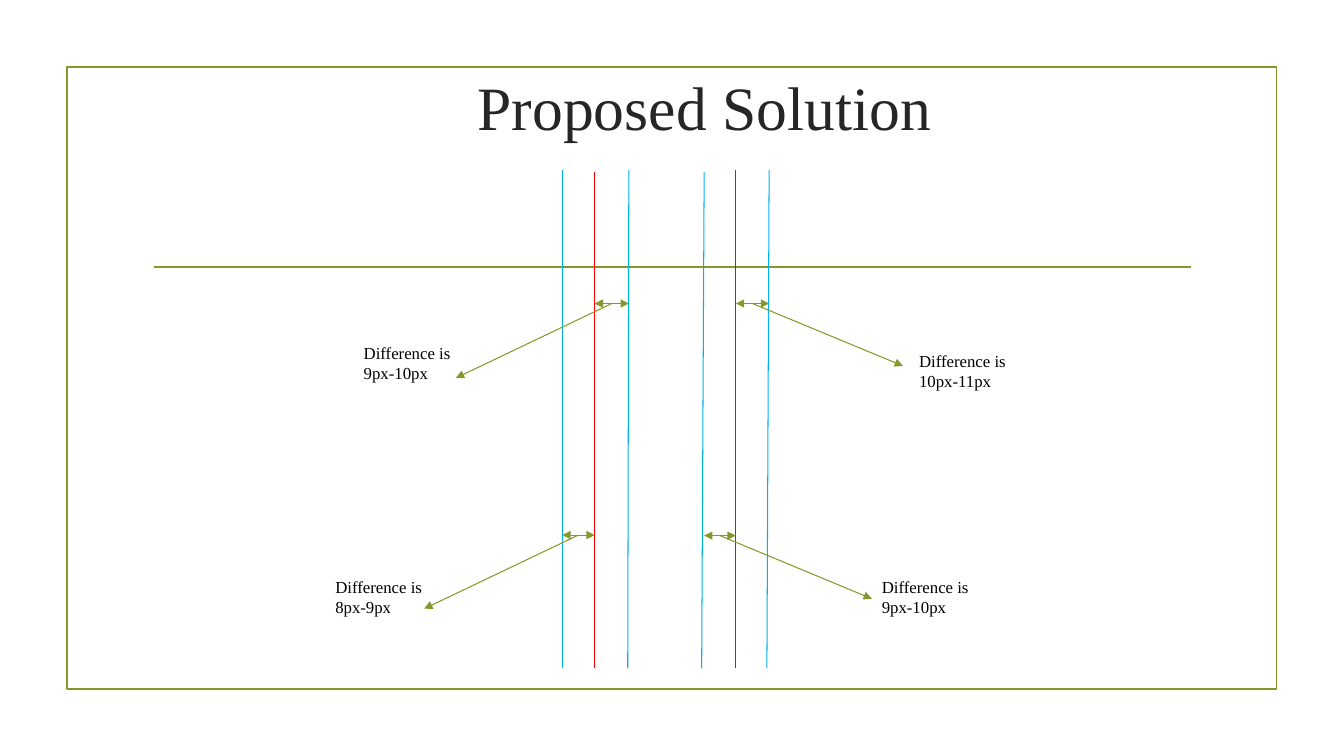
from dataclasses import dataclass

from lxml import etree
from pptx import Presentation
from pptx.dml.color import RGBColor
from pptx.enum import shapes, text
from pptx.oxml import ns
from pptx.util import Pt


@dataclass(frozen=True)
class Theme:
    font: str = "Times New Roman"
    green: str = "83992A"
    blue: str = "00B0F0"
    red: str = "FF0000"
    dark: str = "262626"
    black: str = "000000"
    head: float = 44
    body: float = 12
    thin: float = 0.75
    rule: float = 1.25


class Deck:
    """Draw styled elements on the current slide."""

    def __init__(self, theme):
        self.theme = theme
        self.show = Presentation()
        self.show.slide_width, self.show.slide_height = Pt(960), Pt(540)
        self.slide = self.show.slides.add_slide(self.show.slide_layouts[5])

    def style(self, para, size, color):
        para.font.name = self.theme.font
        para.font.size = Pt(size)
        para.font.color.rgb = RGBColor.from_string(color)

    def title(self, words, *box):
        head = self.slide.shapes.title
        head.left, head.top, head.width, head.height = map(Pt, box)
        frame = head.text_frame
        frame.text = words
        frame.vertical_anchor = text.MSO_ANCHOR.MIDDLE
        para = frame.paragraphs[0]
        para.alignment = text.PP_ALIGN.CENTER
        self.style(para, self.theme.head, self.theme.dark)

    def frame(self, *box):
        rect = self.slide.shapes.add_shape(shapes.MSO_SHAPE.RECTANGLE, *map(Pt, box))
        rect.shadow.inherit = False
        rect.fill.background()
        rect.line.color.rgb = RGBColor.from_string(self.theme.green)
        rect.line.width = Pt(self.theme.rule)

    def line(self, start, end, color, width):
        link = self.slide.shapes.add_connector(
            shapes.MSO_CONNECTOR.STRAIGHT, *map(Pt, (*start, *end)))
        link.line.color.rgb = RGBColor.from_string(color)
        link.line.width = Pt(width)
        etree.SubElement(link._element.spPr, ns.qn("a:effectLst"))
        return link

    def arrow(self, start, end):
        link = self.line(start, end, self.theme.green, self.theme.thin)
        tip = etree.SubElement(link.line._get_or_add_ln(), ns.qn("a:tailEnd"))
        tip.set("type", "triangle")

    def label(self, lines, left, top):
        box = self.slide.shapes.add_textbox(Pt(left), Pt(top), Pt(78), Pt(36))
        frame = box.text_frame
        frame.word_wrap = False
        frame.auto_size = text.MSO_AUTO_SIZE.SHAPE_TO_FIT_TEXT
        frame.text = "\n".join(lines)
        for para in frame.paragraphs:
            self.style(para, self.theme.body, self.theme.black)

    def gap(self, left, right, y, tip, spot, size):
        mid = ((left + right) / 2, y)
        for end in ((left, y), (right, y), tip):
            self.arrow(mid, end)
        self.label(("Difference is", size), *spot)


def main():
    theme = Theme()
    deck = Deck(theme)
    deck.frame(47.8, 48, 864, 444.4)
    deck.line((110.2, 190.8), (850.4, 190.8), theme.green, theme.rule)
    deck.title("Proposed Solution", 125.3, 37.4, 756, 77)

    stripes = [
        (424.8, 424.8, 123, theme.red),
        (401.6, 401.6, 121.6, theme.blue),
        (449.2, 448.4, 121.6, theme.blue),
        (549.4, 547.8, 121.6, theme.blue),
        (503, 501.2, 123, theme.blue),
        (525.6, 525.6, 121.6, theme.red),
    ]
    for top, foot, y, color in stripes:
        deck.line((top, y), (foot, 477.4), color, theme.thin)

    gaps = [
        (525.6, 549.4, 216.8, (645, 261.4), (649.4, 247), "10px-11px"),
        (503, 525.6, 382.6, (622.8, 427.7), (622.8, 408.2), "9px-10px"),
        (424.8, 449.2, 216.8, (325.6, 270), (252.7, 241.2), "9px-10px"),
        (401.6, 424.8, 382.2, (303, 434.8), (232.4, 408.2), "8px-9px"),
    ]
    for item in gaps:
        deck.gap(*item)
    deck.show.save("out.pptx")


if __name__ == "__main__":
    main()
